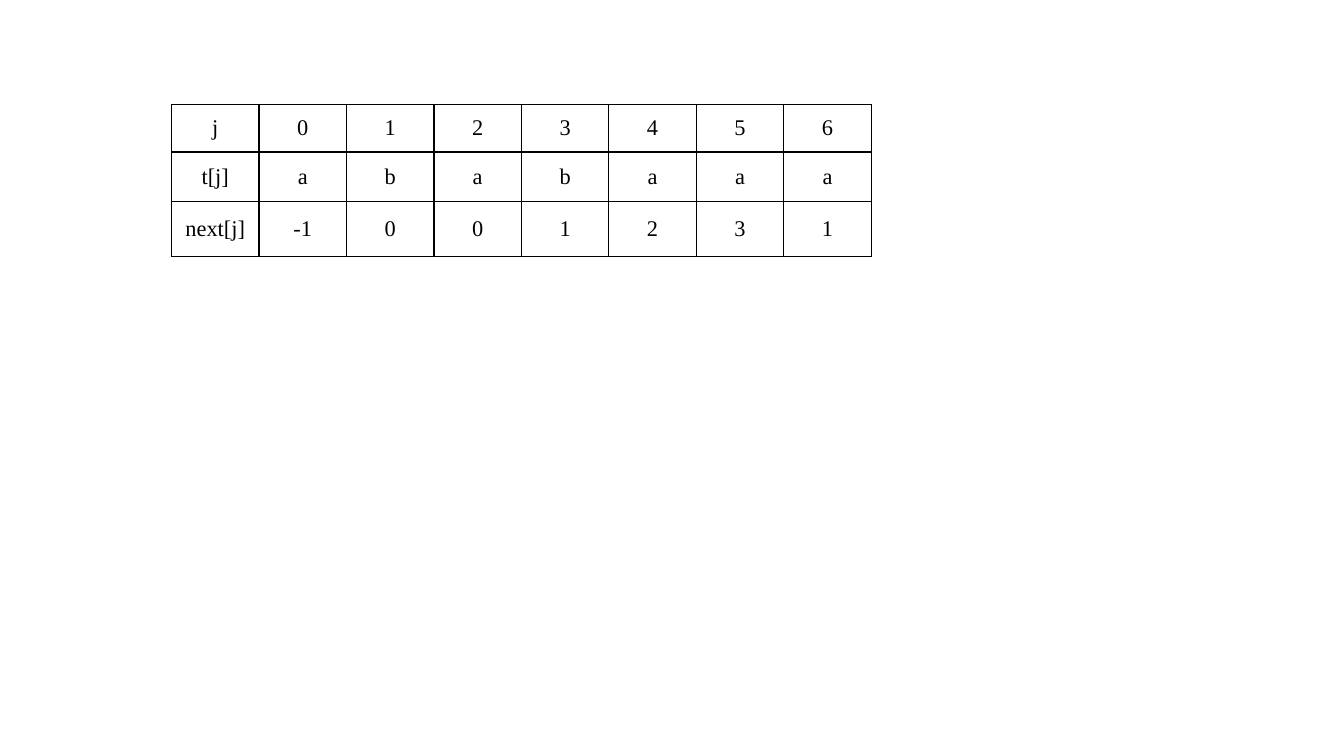
from lxml import etree
from pptx import Presentation
from pptx.dml.color import RGBColor
from pptx.enum import text
from pptx.oxml import ns
from pptx.util import Pt

BLACK = RGBColor(0, 0, 0)
WHITE = RGBColor(255, 255, 255)

NEXT_ROWS = [
    ["j", "0", "1", "2", "3", "4", "5", "6"],
    ["t[j]", "a", "b", "a", "b", "a", "a", "a"],
    ["next[j]", "-1", "0", "0", "1", "2", "3", "1"],
]
ROW_HEIGHTS = [33.9, 35.3, 39.5]
CELL_FORMAT = {
    "vertical_anchor": text.MSO_ANCHOR.MIDDLE,
    "margin_left": Pt(5),
    "margin_right": Pt(5),
    "margin_top": 0,
    "margin_bottom": 0,
}
FONT_FORMAT = {"name": "Times New Roman", "size": Pt(16), "bold": False}


def apply_format(target, values):
    for name, value in values.items():
        setattr(target, name, value)


def add_borders(cell, color, width):
    properties = cell._tc.get_or_add_tcPr()
    for side in ("a:lnL", "a:lnR", "a:lnT", "a:lnB"):
        line = etree.SubElement(properties, ns.qn(side), w=str(Pt(width)))
        fill = etree.SubElement(line, ns.qn("a:solidFill"))
        etree.SubElement(fill, ns.qn("a:srgbClr"), val=str(color))


def fill_cell(cell, value):
    apply_format(cell, CELL_FORMAT)
    # Borders come before the fill in the cell properties
    add_borders(cell, BLACK, 1)
    cell.fill.background()
    paragraph = cell.text_frame.paragraphs[0]
    paragraph.alignment = text.PP_ALIGN.CENTER
    run = paragraph.add_run()
    run.text = value
    apply_format(run.font, FONT_FORMAT)
    run.font.color.rgb = BLACK


def add_next_table(slide, left, top, width):
    column_count = len(NEXT_ROWS[0])
    frame = slide.shapes.add_table(
        len(NEXT_ROWS), column_count,
        Pt(left), Pt(top), Pt(width), Pt(sum(ROW_HEIGHTS)))
    table = frame.table
    apply_format(table, {"first_row": False, "horz_banding": False})

    # Equal columns, rows of their own height
    for column in table.columns:
        column.width = Pt(width / column_count)
    for row, height, values in zip(table.rows, ROW_HEIGHTS, NEXT_ROWS):
        row.height = Pt(height)
        for cell, value in zip(row.cells, values):
            fill_cell(cell, value)


def main():
    presentation = Presentation()
    presentation.slide_width = Pt(960)
    presentation.slide_height = Pt(540)
    slide = presentation.slides.add_slide(presentation.slide_layouts[6])
    slide.background.fill.solid()
    slide.background.fill.fore_color.rgb = WHITE

    # Table of the next function
    add_next_table(slide, 122.5, 74.7, 500)
    presentation.save("out.pptx")


if __name__ == "__main__":
    main()
